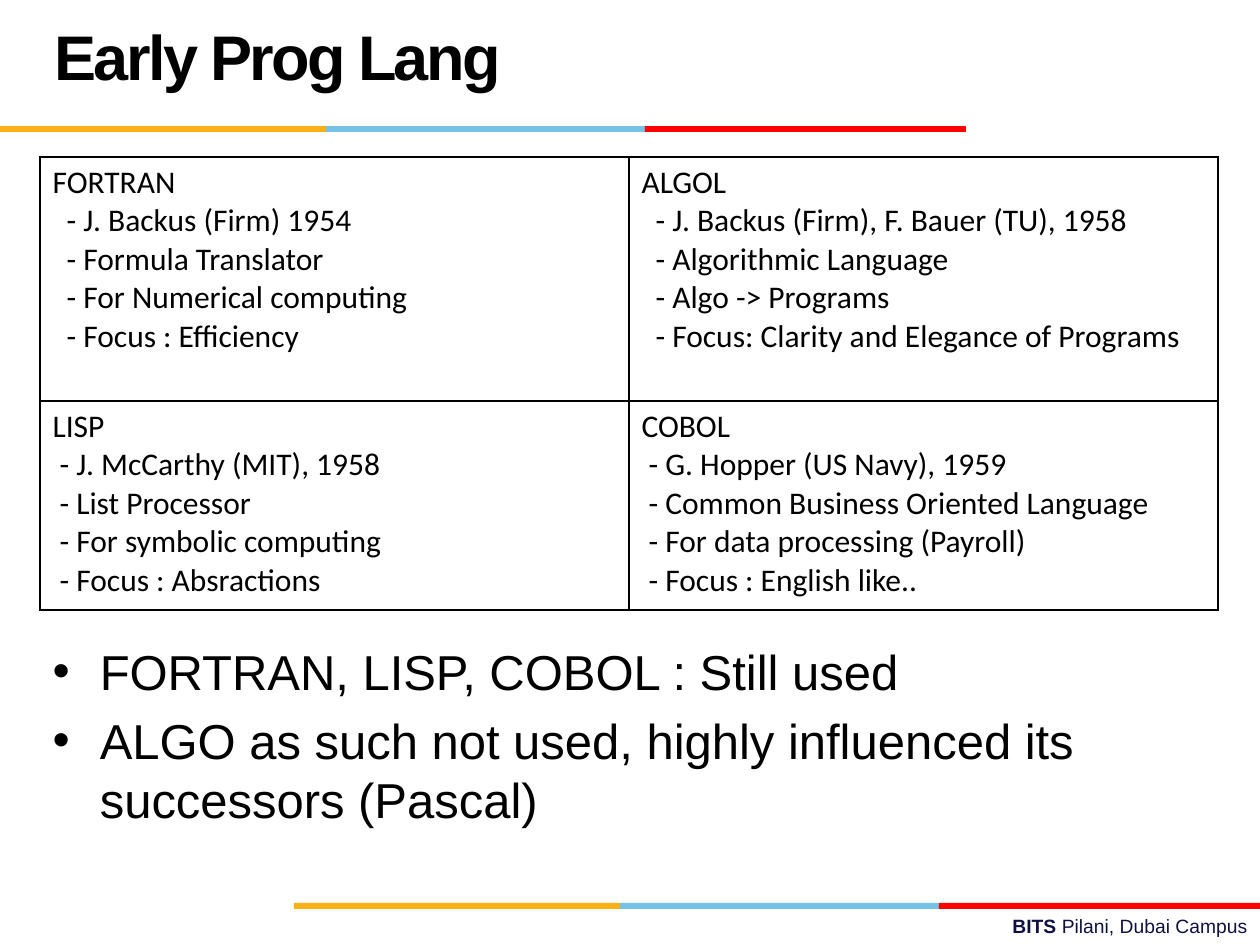
from dataclasses import dataclass
from itertools import accumulate

import lxml.etree
import pptx
import pptx.dml.color
import pptx.enum.shapes
import pptx.enum.text
import pptx.oxml.ns
import pptx.util

SCALE = 914400 / 126


@dataclass(frozen=True)
class Theme:
    """Colours, fonts and type sizes of the slide."""
    ink: str = "000000"
    navy: str = "101141"
    bands: tuple = ("FCB017", "76C2E5", "FF0000")
    font: str = "Arial"
    table_font: str = "Calibri"
    title: int = 36
    body: int = 28
    cell: int = 18
    footer: int = 11


THEME = Theme()
BAND_WIDTHS = (326, 319, 321)
LANGUAGES = [
    [("FORTRAN", "J. Backus (Firm) 1954", "Formula Translator",
      "For Numerical computing", "Focus : Efficiency"),
     ("ALGOL", "J. Backus (Firm), F. Bauer (TU), 1958", "Algorithmic Language",
      "Algo -> Programs", "Focus: Clarity and Elegance of Programs")],
    [("LISP", "J. McCarthy (MIT), 1958", "List Processor",
      "For symbolic computing", "Focus : Absractions"),
     ("COBOL", "G. Hopper (US Navy), 1959", "Common Business Oriented Language",
      "For data processing (Payroll)", "Focus : English like..")],
]
ROW_HEIGHTS = (244, 209)
ROW_INDENTS = (14, 7)
REMARKS = ("FORTRAN, LISP, COBOL : Still used",
           "ALGO as such not used, highly influenced its successors (Pascal)")


def px(n):
    """Turn px into EMU."""
    return pptx.util.Emu(round(n * SCALE))


def rgb(value):
    """Turn a hex string into a colour."""
    return pptx.dml.color.RGBColor.from_string(value)


def style(r, size, font=THEME.font, color=THEME.ink, bold=False):
    """Format a run."""
    r.font.size = pptx.util.Pt(size)
    r.font.name = font
    r.font.bold = bold
    r.font.color.rgb = rgb(color)


def place(sp, x, y, w, h):
    """Move and size a shape."""
    sp.left, sp.top, sp.width, sp.height = px(x), px(y), px(w), px(h)


def add_band(s, left, top):
    """Draw the three-coloured rule."""
    starts = accumulate(BAND_WIDTHS, initial=left)
    for x, w, color in zip(starts, BAND_WIDTHS, THEME.bands):
        sp = s.shapes.add_shape(pptx.enum.shapes.MSO_SHAPE.RECTANGLE,
                                px(x), px(top), px(w), px(6))
        sp.shadow.inherit = False
        sp.fill.solid()
        sp.fill.fore_color.rgb = rgb(color)
        sp.line.fill.background()


def set_title(s, text):
    """Fill the title placeholder."""
    sp = s.shapes.title
    place(sp, 42, 21, 872, 81)
    tf = sp.text_frame
    tf.text = text
    tf.auto_size = pptx.enum.text.MSO_AUTO_SIZE.NONE
    tf.vertical_anchor = pptx.enum.text.MSO_ANCHOR.MIDDLE
    p = tf.paragraphs[0]
    p.alignment = pptx.enum.text.PP_ALIGN.LEFT
    p.line_spacing = pptx.util.Pt(36)
    r = p.runs[0]
    style(r, THEME.title, bold=True)
    r.font._element.set("spc", "-150")


def set_body(s, lines):
    """Fill the body placeholder with bullets."""
    sp = s.placeholders[1]
    place(sp, 40, 635, 1200, 257)
    tf = sp.text_frame
    tf.text = "\n".join(lines)
    tf.auto_size = pptx.enum.text.MSO_AUTO_SIZE.NONE
    for i, p in enumerate(tf.paragraphs):
        p.space_before = pptx.util.Pt(6 if i else 0)
        style(p.runs[0], THEME.body)


def add_borders(cell):
    """Rule all four sides of a cell."""
    tc_pr = cell._tc.get_or_add_tcPr()
    qn = pptx.oxml.ns.qn
    for side in ("lnL", "lnR", "lnT", "lnB"):
        ln = lxml.etree.SubElement(tc_pr, qn(f"a:{side}"), w="12700")
        fill = lxml.etree.SubElement(ln, qn("a:solidFill"))
        lxml.etree.SubElement(fill, qn("a:srgbClr"), val=THEME.ink)


def fill_cell(cell, lines, indent):
    """Write a language name and its dashed facts."""
    add_borders(cell)
    cell.fill.background()
    name, *facts = lines
    tf = cell.text_frame
    tf.text = "\n".join([name, *(f"- {fact}" for fact in facts)])
    for i, p in enumerate(tf.paragraphs):
        if i:
            p._p.get_or_add_pPr().set("marL", str(px(indent)))
        style(p.runs[0], THEME.cell, THEME.table_font)


def add_language_table(s):
    """Add the two-by-two table of languages."""
    table = s.shapes.add_table(2, 2, px(40), px(157), px(1178),
                               px(sum(ROW_HEIGHTS))).table
    table.first_row = table.horz_banding = False
    for row, height, indent, languages in zip(table.rows, ROW_HEIGHTS,
                                              ROW_INDENTS, LANGUAGES):
        row.height = px(height)
        for cell, lines in zip(row.cells, languages):
            fill_cell(cell, lines, indent)


def add_footer(s):
    """Add the campus line."""
    tf = s.shapes.add_textbox(px(451), px(908), px(809), px(37)).text_frame
    tf.word_wrap = True
    p = tf.paragraphs[0]
    p.alignment = pptx.enum.text.PP_ALIGN.RIGHT
    for text, bold in (("BITS ", True), ("Pilani, Dubai Campus", False)):
        r = p.add_run()
        r.text = text
        style(r, THEME.footer, color=THEME.navy, bold=bold)


def main():
    """Build and save the slide."""
    prs = pptx.Presentation()
    prs.slide_width, prs.slide_height = px(1260), px(945)
    s = prs.slides.add_slide(prs.slide_layouts[1])
    add_band(s, 0, 126)
    add_band(s, 294, 903)
    add_footer(s)
    set_title(s, "Early Prog Lang")
    add_language_table(s)
    set_body(s, REMARKS)
    prs.save("out.pptx")


if __name__ == "__main__":
    main()
